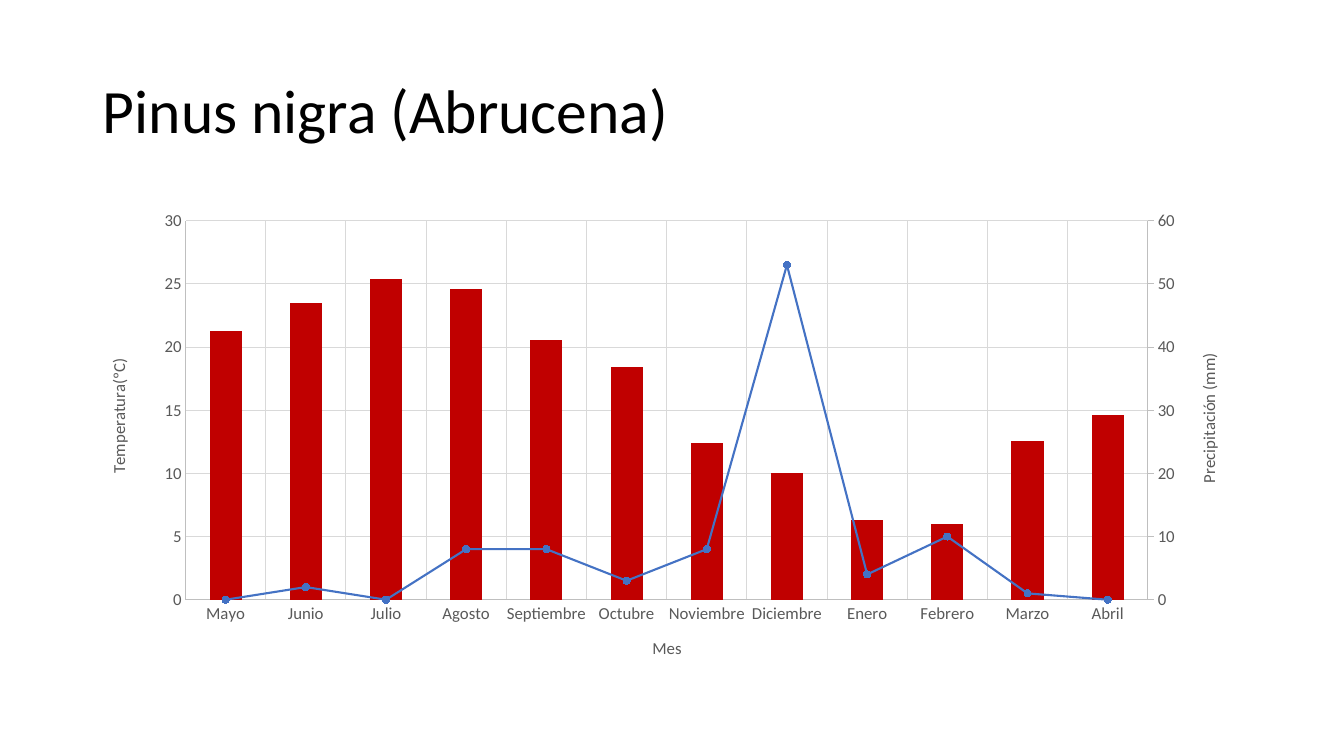
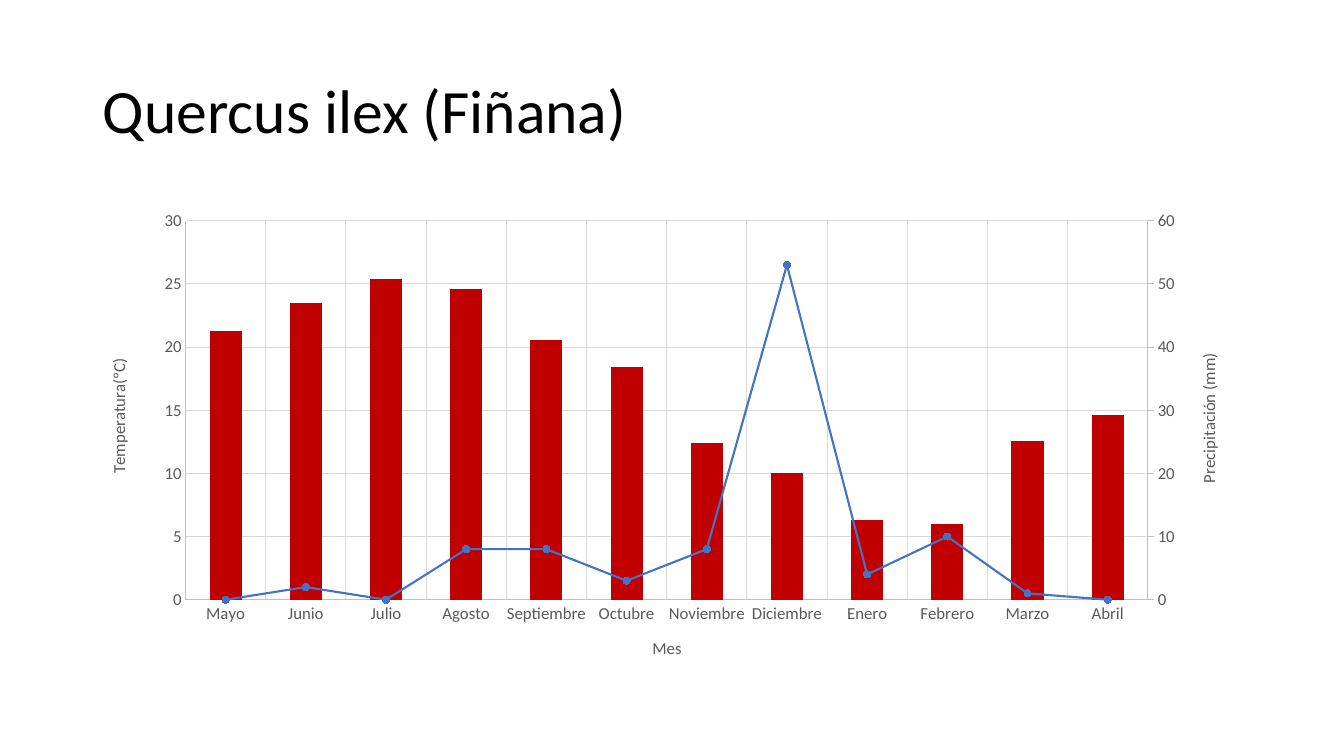
from copy import deepcopy

from pptx import Presentation
from pptx.chart.axis import CategoryAxis, ValueAxis
from pptx.chart.data import CategoryChartData
from pptx.dml.color import RGBColor
from pptx.enum.chart import XL_CHART_TYPE, XL_MARKER_STYLE, XL_TICK_MARK
from pptx.enum.text import MSO_ANCHOR, MSO_AUTO_SIZE, PP_ALIGN
from pptx.oxml import parse_xml
from pptx.oxml.ns import nsdecls, qn
from pptx.util import Inches, Pt

COLUMN = XL_CHART_TYPE.COLUMN_CLUSTERED
CIRCLE = XL_MARKER_STYLE.CIRCLE
NO_TICK = XL_TICK_MARK.NONE
OUT_TICK = XL_TICK_MARK.OUTSIDE
MIDDLE = MSO_ANCHOR.MIDDLE
NO_FIT = MSO_AUTO_SIZE.NONE
LEFT = PP_ALIGN.LEFT

FONT = "Calibri"
BLACK = RGBColor(0x00, 0x00, 0x00)
GRAY = RGBColor(0x59, 0x59, 0x59)
AXIS = RGBColor(0xBF, 0xBF, 0xBF)
GRID = RGBColor(0xD9, 0xD9, 0xD9)
RED = RGBColor(0xC0, 0x00, 0x00)
BLUE = RGBColor(0x44, 0x72, 0xC4)

TITLES = ["Pinus nigra (Abrucena)", "Quercus ilex (Fiñana)"]
MONTHS = ["Mayo", "Junio", "Julio", "Agosto", "Septiembre", "Octubre",
          "Noviembre", "Diciembre", "Enero", "Febrero", "Marzo", "Abril"]
TEMPS = [21.3, 23.5, 25.4, 24.6, 20.6, 18.4, 12.4, 10, 6.3, 6, 12.6, 14.6]
RAIN = [0, 2, 0, 8, 8, 3, 8, 53, 4, 10, 1, 0]


def set_font(font, size, color):
    font.name = FONT
    font.size = Pt(size)
    font.color.rgb = color
    font.bold = False


def set_line(line, color, width=0.75):
    line.color.rgb = color
    line.width = Pt(width)


def place(node, inner="", **sides):
    modes = "".join(f'<c:{s}Mode val="edge"/>' for s in "xy")
    sizes = "".join(f'<c:{s} val="{v}"/>' for s, v in sides.items())
    layout = parse_xml(f'<c:layout {nsdecls("c")}><c:manualLayout>{inner}'
                       f'{modes}{sizes}</c:manualLayout></c:layout>')
    old = node.find(qn("c:layout"))
    if old is not None:
        node.remove(old)
    head = node.find(qn("c:tx"))
    if head is None:
        node.insert(0, layout)
    else:
        head.addnext(layout)


def add_title(slide, text):
    title = slide.shapes.title
    title.left, title.top = Inches(0.92), Inches(0.4)
    title.width, title.height = Inches(11.5), Inches(1.45)
    frame = title.text_frame
    frame.text = text
    frame.auto_size = NO_FIT
    frame.vertical_anchor = MIDDLE
    para = frame.paragraphs[0]
    para.alignment = LEFT
    para.line_spacing = 0.9
    set_font(para.runs[0].font, 44, BLACK)


def style_axis(axis, text, x, y, grid=True, tick=NO_TICK, turn=True):
    title = axis.axis_title
    title.text_frame.text = text
    set_font(title.text_frame.paragraphs[0].runs[0].font, 12, GRAY)
    if turn:
        body = title.element.find(".//" + qn("a:bodyPr"))
        body.set("rot", "-5400000")
        body.set("vert", "horz")
    place(title.element, x=x, y=y)
    axis.major_tick_mark = tick
    axis.minor_tick_mark = NO_TICK
    set_font(axis.tick_labels.font, 12, GRAY)
    set_line(axis.format.line, AXIS)
    axis.has_major_gridlines = grid
    if grid:
        set_line(axis.major_gridlines.format.line, GRID)


def set_scale(axis, top, step):
    axis.minimum_scale = 0
    axis.maximum_scale = top
    axis.major_unit = step


def split_line(area):
    bars = area.find(qn("c:barChart"))
    rain = bars.findall(qn("c:ser"))[1]
    flag = rain.find(qn("c:invertIfNegative"))
    if flag is not None:
        rain.remove(flag)
    group = parse_xml(
        f'<c:lineChart {nsdecls("c")}><c:grouping val="standard"/>'
        '<c:varyColors val="0"/><c:marker val="1"/>'
        '<c:axId val="5001"/><c:axId val="5002"/></c:lineChart>')
    group.insert(2, rain)
    bars.addnext(group)

    base = area.find(qn("c:valAx"))
    cat = deepcopy(area.find(qn("c:catAx")))
    val = deepcopy(base)
    for node, own, other in ((cat, "5001", "5002"), (val, "5002", "5001")):
        node.find(qn("c:axId")).set("val", own)
        node.find(qn("c:crossAx")).set("val", other)
    val.find(qn("c:axPos")).set("val", "r")
    val.find(qn("c:crosses")).set("val", "max")
    base.addnext(cat)
    cat.addnext(val)
    hidden = CategoryAxis(cat)
    hidden.visible = False
    hidden.has_major_gridlines = False
    return ValueAxis(base), ValueAxis(val)


def add_climate(slide):
    data = CategoryChartData()
    data.categories = MONTHS
    data.add_series("Series 1", TEMPS)
    data.add_series("Series 2", RAIN)
    chart = slide.shapes.add_chart(
        COLUMN, Inches(0.92), Inches(2), Inches(11.5), Inches(4.76), data).chart
    chart.has_title = False
    chart.has_legend = False
    set_font(chart.font, 12, BLACK)

    area = chart.element.find(".//" + qn("c:plotArea"))
    left, right = split_line(area)
    place(area, '<c:layoutTarget val="inner"/>', x=0.08, y=0.04, w=0.83, h=0.79)
    style_axis(chart.category_axis, "Mes", 0.48, 0.9, turn=False)
    style_axis(left, "Temperatura(ºC)", 0.01, 0.32)
    style_axis(right, "Precipitación (mm)", 0.95, 0.31, grid=False, tick=OUT_TICK)
    set_scale(left, 30, 5)
    set_scale(right, 60, 10)

    bars, lines = chart.plots
    bars.gap_width = 150
    bars.vary_by_categories = False
    fill = bars.series[0].format.fill
    fill.solid()
    fill.fore_color.rgb = RED

    rain = lines.series[0]
    rain.smooth = False
    set_line(rain.format.line, BLUE, 1.5)
    mark = rain.marker
    mark.style = CIRCLE
    mark.size = 5
    mark.format.fill.solid()
    mark.format.fill.fore_color.rgb = BLUE
    set_line(mark.format.line, BLUE)


def main():
    deck = Presentation()
    deck.slide_width, deck.slide_height = Inches(13.33), Inches(7.5)
    for text in TITLES:
        slide = deck.slides.add_slide(deck.slide_layouts[5])
        add_title(slide, text)
        add_climate(slide)
    deck.save("out.pptx")


if __name__ == "__main__":
    main()
